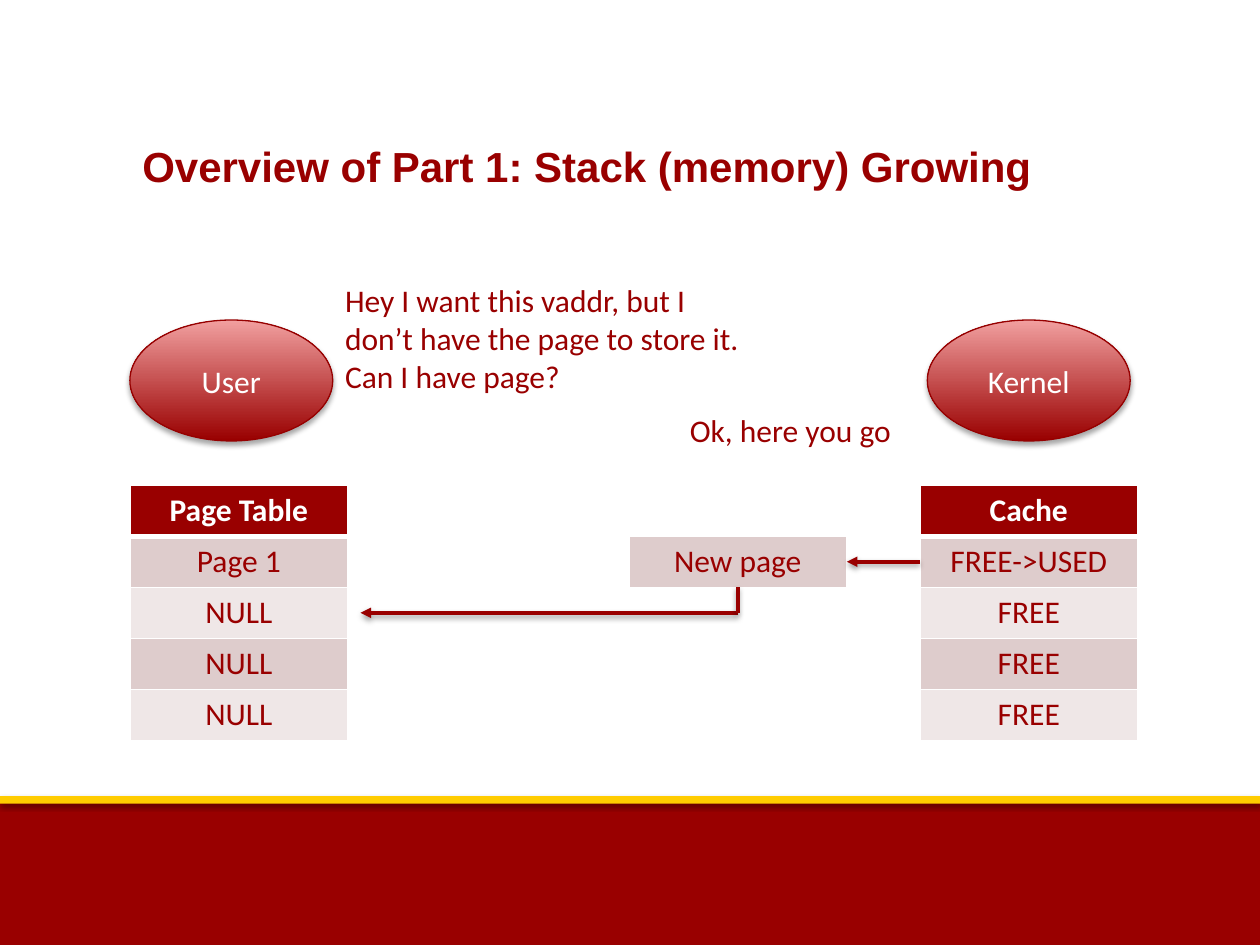
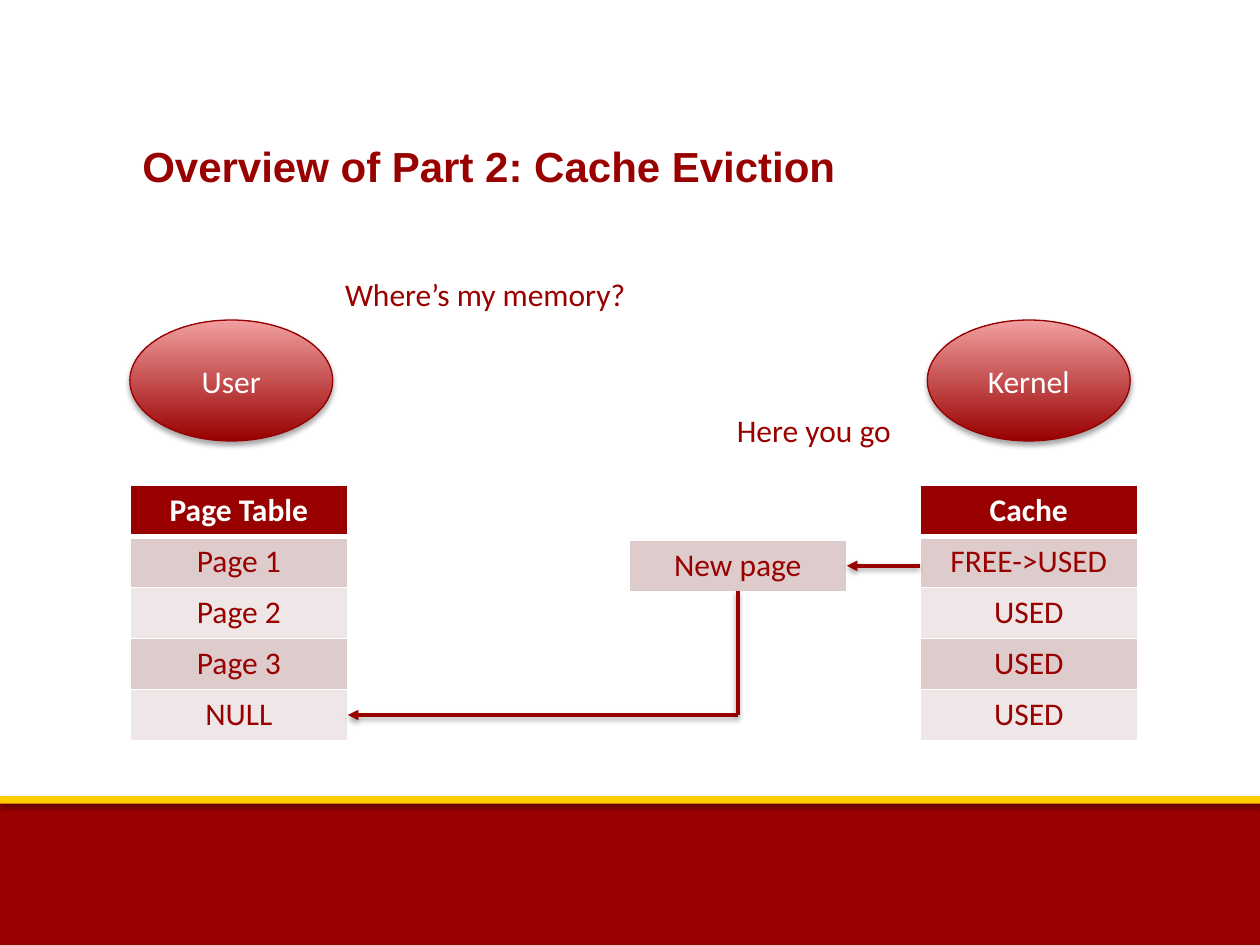
from dataclasses import dataclass

from lxml.etree import SubElement
from pptx import Presentation
from pptx.dml.color import RGBColor
from pptx.enum.shapes import MSO_CONNECTOR, MSO_SHAPE
from pptx.enum.text import MSO_ANCHOR, MSO_AUTO_SIZE, PP_ALIGN
from pptx.oxml.ns import qn
from pptx.util import Pt


@dataclass(frozen=True)
class Theme:
    crimson: str = "990000"
    gold: str = "FFCC00"
    blush: str = "F19F9F"
    outline: str = "960000"
    odd_row: str = "DECCCC"
    even_row: str = "EFE7E7"
    white: str = "FFFFFF"
    body_font: str = "Calibri"
    title_font: str = "Arial"
    body_size: int = 18
    title_size: int = 24


THEME = Theme()

# Shadows as (opacity %, distance in points)
SOLID_SHADOW = (35, 1.8)
LINE_SHADOW = (38, 1.6)
SHADOW_BLUR = 3.1

# Layout in points
SLIDE_W, SLIDE_H = 720, 540
LEFT_EDGE = 74.2
TABLE_TOP, COLUMN_W, ROW_H = 277.2, 124.6, 29.2
CACHE_LEFT = 525.6
NEW_PAGE_LEFT = 359.3
ACTOR_TOP, ACTOR_W, ACTOR_H = 182.9, 115.9, 69.1
KERNEL_LEFT = 529.9
REQUEST_LEFT = LEFT_EDGE + ACTOR_W
REPLY_TOP, REPLY_RIGHT = 231.1, 516.2


def rgb(color):
    return RGBColor.from_string(color)


def row_center(row):
    return TABLE_TOP + (row + 0.5) * ROW_H


def write(frame, text, *, font=THEME.body_font, size=THEME.body_size,
          color=THEME.crimson, bold=False, align=PP_ALIGN.LEFT):
    paragraph = frame.paragraphs[0]
    paragraph.alignment = align
    run = paragraph.add_run()
    run.text = text
    run.font.name, run.font.size, run.font.bold = font, Pt(size), bold
    run.font.color.rgb = rgb(color)


def add_shadow(effects, opacity, distance):
    shadow = SubElement(effects, qn("a:outerShdw"), blurRad=str(Pt(SHADOW_BLUR)),
                        dist=str(Pt(distance)), dir="5400000", rotWithShape="0")
    black = SubElement(shadow, qn("a:srgbClr"), val="000000")
    SubElement(black, qn("a:alpha"), val=str(opacity * 1000))


def add_solid(slide, kind, left, top, width, height, shadow):
    solid = slide.shapes.add_shape(kind, Pt(left), Pt(top), Pt(width), Pt(height))
    solid.shadow.inherit = False
    add_shadow(solid.element.spPr.find(qn("a:effectLst")), *shadow)
    return solid


def add_band(slide, top, height, color, shadow):
    band = add_solid(slide, MSO_SHAPE.RECTANGLE, 0, top, SLIDE_W, height, shadow)
    band.fill.solid()
    band.fill.fore_color.rgb = rgb(color)
    band.line.fill.background()


def add_actor(slide, role, left):
    actor = add_solid(slide, MSO_SHAPE.OVAL, left, ACTOR_TOP, ACTOR_W, ACTOR_H,
                      SOLID_SHADOW)
    actor.fill.gradient()
    actor.fill.gradient_angle = 90
    for stop, color in zip(actor.fill.gradient_stops, (THEME.crimson, THEME.blush)):
        stop.color.rgb = rgb(color)
    actor.line.color.rgb = rgb(THEME.outline)
    actor.line.width = Pt(0.75)
    actor.text_frame.vertical_anchor = MSO_ANCHOR.MIDDLE
    write(actor.text_frame, role, color=THEME.white, align=PP_ALIGN.CENTER)


def add_text(slide, text, left, top, width, height, **text_format):
    frame = slide.shapes.add_textbox(Pt(left), Pt(top), Pt(width), Pt(height)).text_frame
    frame.word_wrap = True
    frame.auto_size = MSO_AUTO_SIZE.SHAPE_TO_FIT_TEXT
    write(frame, text, **text_format)


def set_borders(cell, top, bottom):
    properties = cell._tc.get_or_add_tcPr()
    for side, width in (("L", 1), ("R", 1), ("T", top), ("B", bottom)):
        border = SubElement(properties, qn(f"a:ln{side}"), w=str(Pt(width)))
        fill = SubElement(border, qn("a:solidFill"))
        SubElement(fill, qn("a:srgbClr"), val=THEME.white)


def add_memory_table(slide, left, top, entries, header=None):
    rows = ([header] if header else []) + entries
    table = slide.shapes.add_table(len(rows), 1, Pt(left), Pt(top), Pt(COLUMN_W),
                                   Pt(ROW_H * len(rows))).table
    table.first_row = bool(header)
    for index, label in enumerate(rows):
        table.rows[index].height = Pt(ROW_H)
        cell = table.cell(index, 0)
        is_header = bool(header) and index == 0
        entry = index - bool(header)
        set_borders(cell, top=3 if header and index == 1 else 1,
                    bottom=3 if is_header else 1)
        stripe = THEME.even_row if entry % 2 else THEME.odd_row
        cell.fill.solid()
        cell.fill.fore_color.rgb = rgb(THEME.crimson if is_header else stripe)
        write(cell.text_frame, label, bold=is_header, align=PP_ALIGN.CENTER,
              color=THEME.white if is_header else THEME.crimson)


def add_line(slide, start, end, arrow=False):
    line = slide.shapes.add_connector(MSO_CONNECTOR.STRAIGHT,
                                      *(Pt(value) for value in (*start, *end)))
    line.line.color.rgb = rgb(THEME.crimson)
    line.line.width = Pt(2)
    if arrow:
        SubElement(line.line._get_or_add_ln(), qn("a:tailEnd"), type="triangle")
    add_shadow(SubElement(line.element.spPr, qn("a:effectLst")), *LINE_SHADOW)


def add_page_transfer(slide, page_top, target_row, target_gap):
    """Carry a free cache page to a row of the page table."""
    add_memory_table(slide, NEW_PAGE_LEFT, page_top, ["New page"])
    page_middle = page_top + ROW_H / 2
    stem_x = NEW_PAGE_LEFT + COLUMN_W / 2
    target_y = row_center(target_row)
    target_x = LEFT_EDGE + COLUMN_W + target_gap
    add_line(slide, (stem_x, target_y), (target_x, target_y), arrow=True)
    add_line(slide, (stem_x, target_y), (stem_x, page_top + ROW_H))
    add_line(slide, (CACHE_LEFT, page_middle),
             (NEW_PAGE_LEFT + COLUMN_W, page_middle), arrow=True)


def add_overview(deck, title, request, request_top, request_height, reply, reply_width,
                 page_entries, cache_entries, **transfer):
    slide = deck.slides.add_slide(deck.slide_layouts[6])
    # Footer
    add_band(slide, 457.2, 82.8, THEME.crimson, SOLID_SHADOW)
    add_band(slide, 455, 4.3, THEME.gold, LINE_SHADOW)
    # Conversation
    add_actor(slide, "User", LEFT_EDGE)
    add_actor(slide, "Kernel", KERNEL_LEFT)
    add_text(slide, request, REQUEST_LEFT, request_top, 244.8, request_height)
    add_text(slide, reply, REPLY_RIGHT - reply_width, REPLY_TOP, reply_width, 29,
             align=PP_ALIGN.RIGHT)
    # Title
    add_text(slide, title, LEFT_EDGE, 77, 582.5, 36, font=THEME.title_font,
             size=THEME.title_size, bold=True)
    # Memory tables and the page moving between them
    add_memory_table(slide, LEFT_EDGE, TABLE_TOP, page_entries, header="Page Table")
    add_memory_table(slide, CACHE_LEFT, TABLE_TOP, cache_entries, header="Cache")
    add_page_transfer(slide, **transfer)


def main():
    deck = Presentation()
    deck.slide_width, deck.slide_height = Pt(SLIDE_W), Pt(SLIDE_H)

    add_overview(
        deck, "Overview of Part 1: Stack (memory) Growing",
        request="Hey I want this vaddr, but I don’t have the page to store it. "
                "Can I have page?",
        request_top=157, request_height=72.7,
        reply="Ok, here you go", reply_width=174.2,
        page_entries=["Page 1"] + ["NULL"] * 3,
        cache_entries=["FREE->USED"] + ["FREE"] * 3,
        page_top=306.4, target_row=2, target_gap=7.2)

    add_overview(
        deck, "Overview of Part 2: Cache Eviction",
        request="Where’s my memory?", request_top=153.4, request_height=29,
        reply="Here you go", reply_width=253.4,
        page_entries=["Page 1", "Page 2", "Page 3", "NULL"],
        cache_entries=["FREE->USED"] + ["USED"] * 3,
        page_top=308.7, target_row=4, target_gap=0)

    deck.save("out.pptx")


if __name__ == "__main__":
    main()
